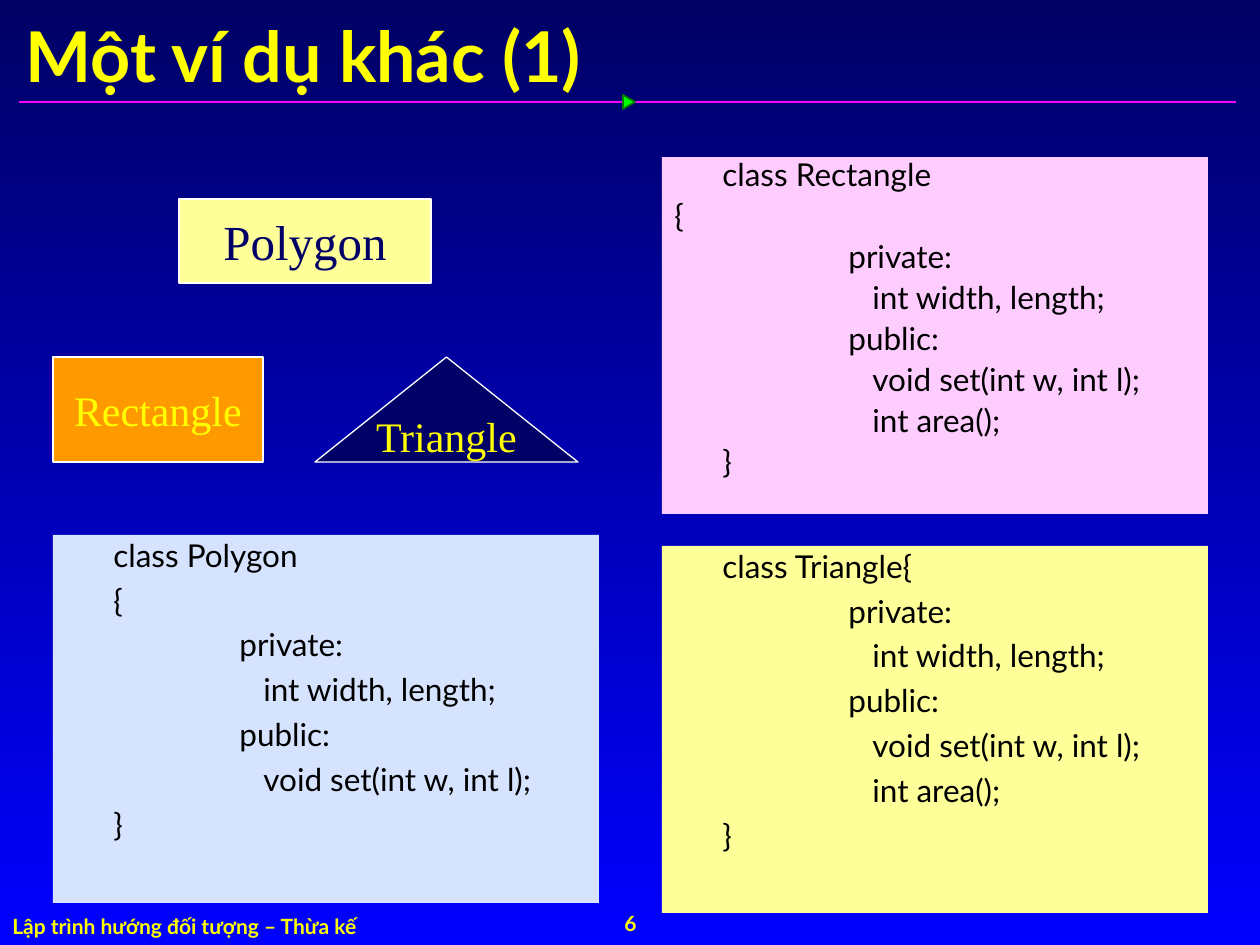
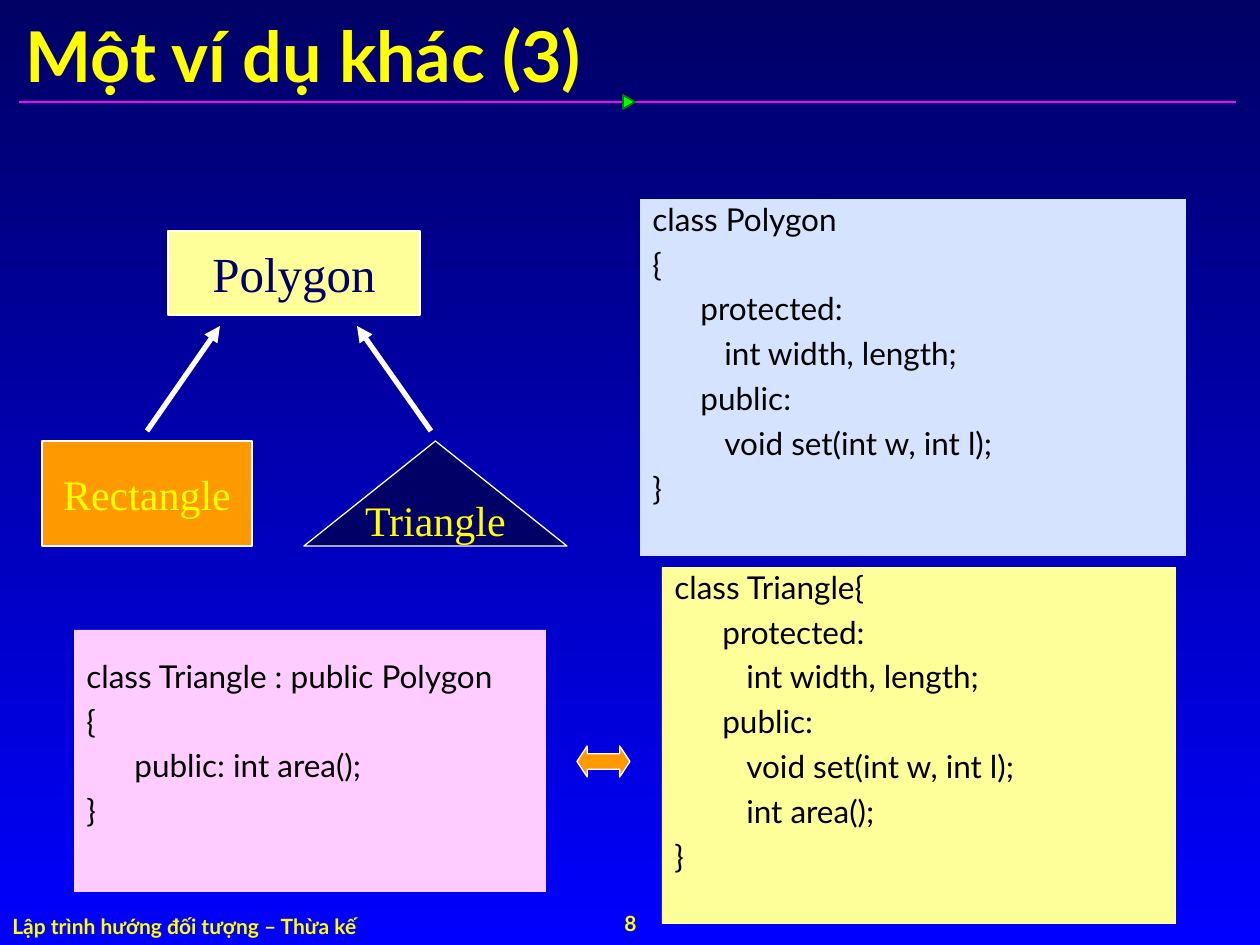
"""Build two slides on classes and inheritance: separate classes, then a shared base class."""
import pptx
import pptx.util
import pptx.dml.color
import pptx.enum.shapes
import pptx.enum.text
import pptx.oxml.ns
import lxml.etree

RGB = pptx.dml.color.RGBColor
SHAPE = pptx.enum.shapes.MSO_SHAPE
ALIGN = pptx.enum.text.PP_ALIGN
ANCHOR = pptx.enum.text.MSO_ANCHOR
Pt = pptx.util.Pt

NAVY = RGB(0x00, 0x00, 0x65)
INK = RGB(0x00, 0x00, 0x66)
BLUE = RGB(0x00, 0x00, 0xFF)
YELLOW = RGB(0xFF, 0xFF, 0x00)
CREAM = RGB(0xFF, 0xFF, 0x99)
PINK = RGB(0xFF, 0xCC, 0xFF)
SKY = RGB(0xD5, 0xE3, 0xFF)
ORANGE = RGB(0xFF, 0x99, 0x00)
MAGENTA = RGB(0xFF, 0x01, 0xFF)
LIME = RGB(0x00, 0xFF, 0x00)
GREEN = RGB(0x03, 0x7C, 0x03)
WHITE = RGB(0xFF, 0xFF, 0xFF)
BLACK = RGB(0x00, 0x00, 0x00)

SANS, SERIF = "Lato", "Times New Roman"
FOOTER = "Lập trình hướng đối tượng – Thừa kế"
WIDE_INDENTS = (0, 48, 174, 198)
TIGHT_INDENTS = (0, 0, 48, 72)

WIDTH_LENGTH = (3, "int width, length;")
SET = (3, "void set(int w, int l);")
AREA = (3, "int area();")
PUBLIC = (2, "public:")
PRIVATE = (2, "private:")
PROTECTED = (2, "protected:")
OPEN, CLOSE = (1, "{"), (1, "}")

SLIDES = [
    {"title": "Một ví dụ khác (1)", "number": "6",
     "diagram": (53, 199, 158), "indents": WIDE_INDENTS, "arrows": [], "swap": None,
     "code": [
         {"at": (53, 535, 546, 368), "fill": SKY,
          "lines": [(1, "class Polygon"), OPEN, PRIVATE, WIDTH_LENGTH, PUBLIC, SET, CLOSE]},
         {"at": (662, 157, 546, 357), "fill": PINK, "spacing": 0.77,
          "lines": [(1, "class Rectangle"), (0, "{"), PRIVATE, WIDTH_LENGTH, PUBLIC,
                    SET, AREA, CLOSE]},
         {"at": (662, 546, 546, 367), "fill": CREAM,
          "lines": [(1, "class Triangle{"), PRIVATE, WIDTH_LENGTH, PUBLIC, SET, AREA, CLOSE]},
     ]},
    {"title": "Một ví dụ khác (3)", "number": "8",
     "diagram": (42, 231, 210), "indents": TIGHT_INDENTS,
     "arrows": [(147, 431, 220, 326), (431, 431, 357, 326)], "swap": (577, 746, 53, 31),
     "code": [
         {"at": (640, 199, 546, 357), "fill": SKY,
          "lines": [(1, "class Polygon"), OPEN, PROTECTED, WIDTH_LENGTH, PUBLIC, SET, CLOSE]},
         {"at": (74, 630, 472, 262), "fill": PINK, "top": 32,
          "lines": [(1, "class Triangle : public Polygon"), OPEN,
                    (2, "public: int area();"), CLOSE]},
         {"at": (662, 567, 514, 357), "fill": CREAM,
          "lines": [(1, "class Triangle{"), PROTECTED, WIDTH_LENGTH, PUBLIC, SET, AREA, CLOSE]},
     ]},
]


def px(n):
    return pptx.util.Emu(round(n * 914400 / 126))


def box(*lengths):
    return [px(n) for n in lengths]


def write(p, text, size, color, font=SANS, bold=False):
    r = p.add_run()
    r.text = text
    r.font.name, r.font.size, r.font.bold = font, Pt(size), bold
    r.font.color.rgb = color


def add_shape(s, kind, at, fill, line=None, weight=0.74):
    sp = s.shapes.add_shape(kind, *box(*at))
    sp.shadow.inherit = False
    sp.fill.solid()
    sp.fill.fore_color.rgb = fill
    if line is None:
        sp.line.fill.background()
    else:
        sp.line.color.rgb = line
        sp.line.width = Pt(weight)
    return sp


def add_line(s, ends, color, weight, arrow=False):
    sp = s.shapes.add_connector(pptx.enum.shapes.MSO_CONNECTOR.STRAIGHT, *box(*ends))
    sp.line.color.rgb = color
    sp.line.width = Pt(weight)
    qn = pptx.oxml.ns.qn
    if arrow:
        lxml.etree.SubElement(sp.line._get_or_add_ln(), qn("a:tailEnd"), type="triangle")
    lxml.etree.SubElement(sp._element.spPr, qn("a:effectLst"))


def add_label(s, at, text, align, anchor, wrap):
    tf = s.shapes.add_textbox(*box(*at)).text_frame
    tf.word_wrap, tf.vertical_anchor = wrap, anchor
    tf.paragraphs[0].alignment = align
    write(tf.paragraphs[0], text, 12, YELLOW, bold=True)


def add_frame(s, title, number):
    fill = s.background.fill
    fill.gradient()
    fill.gradient_angle = 270
    for stop, color in zip(fill.gradient_stops, (NAVY, BLUE)):
        stop.color.rgb = color
    add_line(s, (19, 102, 1236, 102), MAGENTA, 0.99)
    add_shape(s, SHAPE.ISOSCELES_TRIANGLE, (622, 96, 14, 12), LIME, GREEN, 0.99).rotation = 90
    add_label(s, (0, 907, 643, 38), FOOTER, ALIGN.LEFT, ANCHOR.TOP, True)
    add_label(s, (431, 903, 399, 40), number, ALIGN.CENTER, ANCHOR.MIDDLE, False)
    sp = s.shapes.title
    sp.left, sp.top, sp.width, sp.height = box(13, 18, 1240, 73)
    tf = sp.text_frame
    tf.auto_size = pptx.enum.text.MSO_AUTO_SIZE.NONE
    tf.vertical_anchor = ANCHOR.MIDDLE
    tf.paragraphs[0].alignment = ALIGN.LEFT
    write(tf.paragraphs[0], title, 40, YELLOW, bold=True)


def add_diagram(s, left, top, drop):
    nodes = [
        ("Rectangle", SHAPE.RECTANGLE, (left, top + drop, 210, 105), ORANGE, YELLOW, 24),
        ("Triangle", SHAPE.ISOSCELES_TRIANGLE, (left + 262, top + drop, 263, 105), INK, YELLOW, 24),
        ("Polygon", SHAPE.RECTANGLE, (left + 126, top, 252, 84), CREAM, INK, 28),
    ]
    for text, kind, at, fill, color, size in nodes:
        tf = add_shape(s, kind, at, fill, WHITE).text_frame
        tf.word_wrap, tf.vertical_anchor = False, ANCHOR.MIDDLE
        tf.paragraphs[0].alignment = ALIGN.CENTER
        write(tf.paragraphs[0], text, size, color, SERIF)


def add_code(s, indents, at, fill, lines, spacing=0.87, top=6):
    tf = add_shape(s, SHAPE.RECTANGLE, at, fill).text_frame
    tf.word_wrap, tf.vertical_anchor = True, ANCHOR.TOP
    tf.margin_top = px(top)
    for i, (level, text) in enumerate(lines):
        p = tf.add_paragraph() if i else tf.paragraphs[0]
        p.alignment, p.line_spacing, p.space_before = ALIGN.LEFT, spacing, Pt(6.8)
        p._p.get_or_add_pPr().set("marL", str(px(indents[level])))
        write(p, text, 18, BLACK)


prs = pptx.Presentation()
prs.slide_width, prs.slide_height = box(1260, 945)
for page in SLIDES:
    s = prs.slides.add_slide(prs.slide_layouts[5])
    add_frame(s, page["title"], page["number"])
    add_diagram(s, *page["diagram"])
    for ends in page["arrows"]:
        add_line(s, ends, WHITE, 3, arrow=True)
    for block in page["code"]:
        add_code(s, page["indents"], **block)
    if page["swap"]:
        sp = add_shape(s, SHAPE.LEFT_RIGHT_ARROW, page["swap"], ORANGE, WHITE)
        sp.adjustments[1] = 0.33
prs.save("out.pptx")
